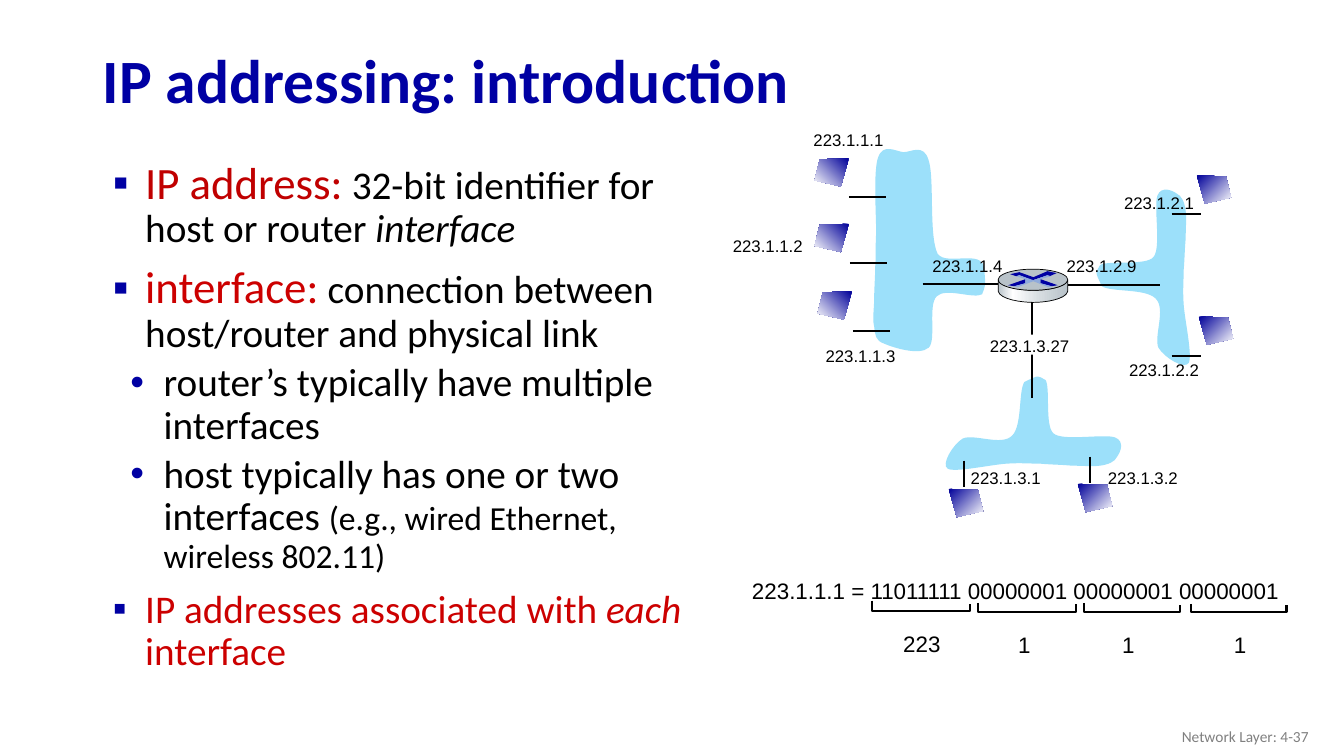
"""Build the slide that introduces IP addressing."""
from copy import deepcopy
from lxml.etree import SubElement
from pptx import Presentation
from pptx.dml.color import RGBColor
from pptx.enum.shapes import MSO_CONNECTOR, MSO_SHAPE
from pptx.enum.text import MSO_ANCHOR, MSO_AUTO_SIZE, PP_ALIGN
from pptx.oxml.ns import qn
from pptx.util import Inches, Pt

NAVY = RGBColor(0x00, 0x00, 0xA3)
INK = RGBColor(0x00, 0x00, 0x99)
BLACK = RGBColor(0x00, 0x00, 0x00)
WHITE = RGBColor(0xFF, 0xFF, 0xFF)
GREY = RGBColor(0x80, 0x80, 0x80)
BRICK = RGBColor(0xC0, 0x00, 0x00)
RED = RGBColor(0xCC, 0x00, 0x00)
SKY = RGBColor(0x9C, 0xE0, 0xFA)
STEEL = RGBColor(0xB8, 0xC2, 0xC9)
SILVER = RGBColor(0xD6, 0xDC, 0xE0)
PALE = RGBColor(0x8F, 0xAA, 0xDC)


def label(text, x, y, w, h=0.3, size=12, font="Arial", color=BLACK):
    box = slide.shapes.add_textbox(Inches(x), Inches(y), Inches(w), Inches(h))
    box.text_frame.word_wrap = False
    box.text_frame.text = text
    para = box.text_frame.paragraphs[0]
    para.font.size, para.font.name = Pt(size), font
    para.font.color.rgb = color
    return box


def outline(steps, stops=(), angle=0, line=0, close=True):
    dots = [(Inches(step[-2]), Inches(step[-1])) for step in steps]
    form = slide.shapes.build_freeform(*dots[0], scale=1.0)
    form.add_line_segments(dots[1:], close=close)
    shape = form.convert_to_shape()
    shape.shadow.inherit = False
    parts = shape._element.spPr.findall(".//" + qn("a:lnTo"))
    for step, part in zip(steps[1:], parts):
        if len(step) == 6:
            part.tag = qn("a:cubicBezTo")
            part.remove(part[0])
            for x, y in zip(step[::2], step[1::2]):
                SubElement(part, qn("a:pt"), x=str(Inches(x) - shape.left),
                           y=str(Inches(y) - shape.top))
    if len(stops) > 1:
        shape.fill.gradient()
        shape.fill.gradient_angle = angle
        grades = shape._element.spPr.find(".//" + qn("a:gsLst"))
        while len(grades) < len(stops):
            grades.append(deepcopy(grades[0]))
        for stop, (place, color) in zip(shape.fill.gradient_stops, stops):
            stop.position, stop.color.rgb = place, color
    elif stops:
        shape.fill.solid()
        shape.fill.fore_color.rgb = stops[0]
    else:
        shape.fill.background()
    if line:
        shape.line.color.rgb, shape.line.width = BLACK, Pt(line)
    else:
        shape.line.fill.background()


deck = Presentation()
deck.slide_width, deck.slide_height = Inches(13.33), Inches(7.5)
slide = deck.slides.add_slide(deck.slide_layouts[1])

title, body = slide.placeholders
title.left, title.top, title.width, title.height = map(Inches, (0.92, 0.34, 11.5, 0.98))
title.text_frame.text = "IP addressing: introduction"
title.text_frame.vertical_anchor = MSO_ANCHOR.MIDDLE
head = title.text_frame.paragraphs[0]
head.alignment, head.line_spacing = PP_ALIGN.LEFT, 0.9
head.font.name, head.font.size, head.font.bold = "Calibri", Pt(44), True
head.font.color.rgb = NAVY

body.left, body.top, body.width, body.height = map(Inches, (0.95, 1.54, 6.08, 5.3))
body.text_frame.auto_size = MSO_AUTO_SIZE.NONE
points = [
    (0, [("IP address:", 32, BRICK, False), (" ", 28, BRICK, False),
         ("32-bit identifier for host or router ", 28, BLACK, False),
         ("interface", 28, BLACK, True)]),
    (0, [("interface:", 32, RED, False),
         (" connection between host/router and physical link", 28, BLACK, False)]),
    (1, [("router’s typically have multiple interfaces", 28, BLACK, False)]),
    (1, [("host typically has one or two interfaces ", 28, BLACK, False),
         ("(e.g., wired Ethernet, wireless 802.11)", 24, BLACK, False)]),
    (0, [("IP addresses associated with ", 28, RED, False),
         ("each", 28, RED, True), (" interface", 28, RED, False)]),
]
for row, (level, runs) in enumerate(points):
    para = body.text_frame.paragraphs[0] if row == 0 else body.text_frame.add_paragraph()
    para.level, para.line_spacing = level, 0.9
    para.space_before = Pt(0 if row == 0 else (10, 5)[level])
    props = para._p.get_or_add_pPr()
    props.set("marL", str(Pt((28.08, 41.25)[level])))
    props.set("indent", str(Inches((-0.32, -0.33)[level])))
    SubElement(SubElement(props, qn("a:buClr")), qn("a:srgbClr"), val=str(NAVY))
    SubElement(props, qn("a:buFont"), typeface="Arial")
    SubElement(props, qn("a:buChar"), char="▪•"[level])
    para.font.name = "Calibri"
    for text, size, color, slant in runs:
        run = para.add_run()
        run.text = text
        run.font.size, run.font.italic = Pt(size), slant
        run.font.color.rgb = color

foot = label("Network Layer: 4-37", 10.08, 7.11, 3, 0.4, 11, "Calibri", GREY)
foot.text_frame.word_wrap = True
foot.text_frame.vertical_anchor = MSO_ANCHOR.MIDDLE
foot.text_frame.paragraphs[0].alignment = PP_ALIGN.RIGHT

right = [
    (10.93, 2.84), (11.02, 2.9, 11.36, 2.86, 11.46, 2.96),
    (11.57, 3.06, 11.44, 3.34, 11.49, 3.45), (11.55, 3.55, 11.75, 3.67, 11.79, 3.6),
    (11.83, 3.53, 11.75, 3.17, 11.74, 3.02), (11.73, 2.87, 11.74, 2.79, 11.74, 2.68),
    (11.75, 2.57, 11.75, 2.47, 11.76, 2.37), (11.76, 2.27, 11.77, 2.16, 11.76, 2.09),
    (11.75, 2.01, 11.72, 1.94, 11.67, 1.92), (11.63, 1.89, 11.52, 1.84, 11.48, 1.94),
    (11.44, 2.05, 11.52, 2.46, 11.44, 2.55), (11.37, 2.64, 10.98, 2.58, 10.91, 2.63),
    (10.87, 2.71, 10.85, 2.68, 10.93, 2.84)]
lower = [[v for x, y in zip(step[::2], step[1::2]) for v in (13 - y, x - 7.14)]
         for step in right]
left = [
    (9.76, 2.66), (9.74, 2.47, 9.39, 2.64, 9.3, 2.52),
    (9.21, 2.34, 9.27, 1.76, 9.21, 1.59), (9.16, 1.42, 9.04, 1.51, 8.96, 1.51),
    (8.88, 1.5, 8.76, 1.42, 8.71, 1.56), (8.66, 1.69, 8.69, 2.13, 8.69, 2.31),
    (8.68, 2.49, 8.69, 2.54, 8.68, 2.65), (8.68, 2.76, 8.67, 2.86, 8.67, 2.96),
    (8.67, 3.06, 8.65, 3.17, 8.67, 3.24), (8.68, 3.32, 8.68, 3.38, 8.77, 3.41),
    (8.86, 3.45, 9.12, 3.53, 9.21, 3.45), (9.29, 3.38, 9.2, 3.03, 9.29, 2.94),
    (9.38, 2.85, 9.66, 2.97, 9.74, 2.92), (9.77, 2.84, 9.78, 2.85, 9.76, 2.66)]
for cloud in (lower, right, left):
    outline(cloud, [SKY])

links = [(10.24, 2.99, 10.24, 3.95), (9.15, 2.82, 10.02, 2.82), (10.44, 2.83, 11.51, 2.83),
         (9.56, 4.57, 9.56, 4.83), (10.81, 4.53, 10.81, 4.79)]
links += [(x, y, x + 0.37, y) for x, y in ((8.42, 1.95), (8.43, 2.61), (8.46, 3.28))]
links += [(11.62, y, 11.91, y) for y in (2.12, 3.53)]
for link in links:
    wire = slide.shapes.add_connector(MSO_CONNECTOR.STRAIGHT, *map(Inches, link))
    wire.line.color.rgb, wire.line.width = BLACK, Pt(1.5)
    SubElement(wire._element.spPr, qn("a:effectLst"))

for place in [(7.27, 2.37, 0.91, 0.2), (9.78, 3.32, 0.93, 0.2)]:
    gap = slide.shapes.add_shape(MSO_SHAPE.RECTANGLE, *map(Inches, place))
    gap.shadow.inherit = False
    gap.fill.solid()
    gap.fill.fore_color.rgb = WHITE
    gap.line.fill.background()

for tail, x, y in [("1.1", 7.97, 1.24), ("1.2", 7.17, 2.29), ("1.3", 8.09, 3.38),
                   ("1.4", 9.15, 2.49), ("2.9", 10.48, 2.49), ("2.2", 11.1, 3.52),
                   ("2.1", 11.05, 1.86), ("3.2", 10.89, 4.59), ("3.1", 9.53, 4.59),
                   ("3.27", 9.72, 3.28)]:
    label("223.1." + tail, x, y, 1 if tail == "3.27" else 0.9)

label("223.1.1.1 = 11011111 00000001 00000001 00000001", 7.36, 5.68, 5.52, 0.37, 16)
for x, y, end, lip in [(8.65, 5.96, 9.62, 5.99), (9.7, 5.98, 10.67, 5.99),
                       (10.75, 5.98, 11.7, 6), (11.81, 5.99, 12.76, 6)]:
    base = 6.06 if x == 8.65 else 6.07
    outline([(x, y), (x, base), (end, base), (end, lip)], line=1.5, close=False)
label("223", 8.86, 6.2, 0.57, 0.37, 16)
for x in (10, 11.03, 12.14):
    label("1", x, 6.21, 0.32, 0.37, 16)

screen = [(0, 0), (0.29, 0.01), (0.34, 0.22), (0.08, 0.28)]
for x, y, side in [(8.42, 1.57, -1), (8.42, 2.22, -1), (8.45, 2.89, -1), (11.87, 1.74, 1),
                   (11.89, 3.14, 1), (10.69, 4.8, 1), (9.41, 4.85, 1)]:
    outline([(x + side * dx, y + dy) for dx, dy in screen], [(0, INK), (1, WHITE)],
            270 + 45 * side)

outline([(10.59, 2.78), (10.59, 2.89), (10.57, 2.97, 10.37, 3, 10.25, 3),
         (10.13, 3, 9.92, 2.97, 9.9, 2.89), (9.9, 2.87, 9.9, 2.81, 9.9, 2.78),
         (9.93, 2.85, 10.13, 2.88, 10.25, 2.88), (10.36, 2.88, 10.56, 2.86, 10.59, 2.78)],
        [(0, STEEL), (0.21, WHITE), (0.6, SILVER), (1, STEEL)], line=0.5)
lid = slide.shapes.add_shape(MSO_SHAPE.OVAL, *map(Inches, (9.9, 2.67, 0.69, 0.21)))
lid.shadow.inherit = False
lid.fill.solid()
lid.fill.fore_color.rgb = STEEL
lid.line.color.rgb, lid.line.width = BLACK, Pt(0.5)
outline([(10.39, 2.69), (10.48, 2.71), (10.41, 2.74), (10.39, 2.73), (10.24, 2.78),
         (10.11, 2.73), (10.08, 2.74), (10.02, 2.72), (10.11, 2.7), (10.25, 2.75)], [NAVY])
outline([(10.32, 2.77), (10.49, 2.83), (10.43, 2.84), (10.32, 2.81)], [NAVY])
outline([(10.17, 2.77), (10.17, 2.81), (10.06, 2.84), (10, 2.83)], [NAVY])
outline([(10.08, 2.74), (10.11, 2.73), (10.25, 2.78), (10.39, 2.73), (10.42, 2.74),
         (10.32, 2.77), (10.32, 2.81), (10.43, 2.84), (10.4, 2.85), (10.25, 2.79),
         (10.09, 2.85), (10.06, 2.84), (10.17, 2.81), (10.17, 2.77)], [PALE])

deck.save("out.pptx")
